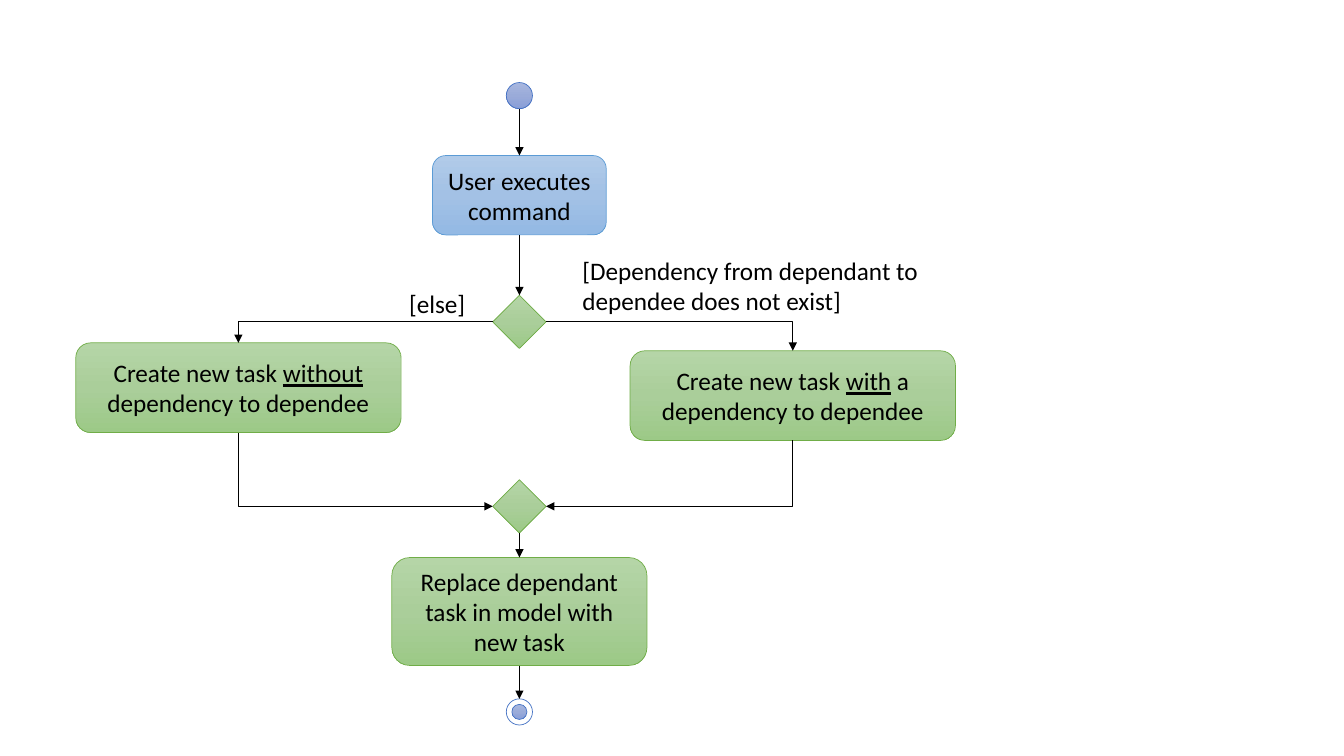
"""Build an activity diagram for creating a task with or without a dependency."""
from copy import deepcopy
from dataclasses import dataclass

from lxml import etree
from pptx import Presentation
from pptx.dml.color import RGBColor
from pptx.enum.shapes import MSO_CONNECTOR, MSO_SHAPE
from pptx.enum.text import MSO_ANCHOR, PP_ALIGN
from pptx.oxml.ns import qn
from pptx.util import Cm, Pt

ELLIPSE, DIAMOND, ROUNDED = MSO_SHAPE.OVAL, MSO_SHAPE.DIAMOND, MSO_SHAPE.ROUNDED_RECTANGLE
STRAIGHT, ELBOW = MSO_CONNECTOR.STRAIGHT, MSO_CONNECTOR.ELBOW
MIDDLE, CENTER, LEFT_ALIGN = MSO_ANCHOR.MIDDLE, PP_ALIGN.CENTER, PP_ALIGN.LEFT
TOP, LEFT, BOTTOM, RIGHT = range(4)


@dataclass(frozen=True)
class Paint:
    """Fill stops and outline colour of a shape."""
    fill: tuple[str, ...]
    line: str


@dataclass(frozen=True)
class Theme:
    """Colours and type sizes of the diagram."""
    marker: Paint = Paint(("A8B7DF", "9AABD9", "889ED7"), "4472C4")
    ring: Paint = Paint(("FFFFFF",), "4472C4")
    command: Paint = Paint(("B1CBE9", "A3C1E5", "93B9E4"), "5B9BD5")
    action: Paint = Paint(("B5D5A7", "AACE9A", "9CC987"), "70AD47")
    ink: RGBColor = RGBColor(0, 0, 0)
    font: str = "Calibri"
    size: Pt = Pt(18)
    stroke: Pt = Pt(0.5)


THEME = Theme()


@dataclass(frozen=True)
class Node:
    """A diagram node, placed by its centre line and top in centimetres."""
    name: str
    kind: int
    paint: Paint
    centre: float
    top: float
    width: float
    height: float
    text: tuple[str, ...] = ()
    underlined: str = ""


@dataclass(frozen=True)
class Label:
    """A guard condition beside a branch, in centimetres."""
    text: str
    left: float
    top: float
    width: float
    height: float


@dataclass(frozen=True)
class Flow:
    """An arrow between the sides of two nodes."""
    start: str
    start_side: int
    end: str
    end_side: int


AXIS, WITHOUT_AXIS, WITH_AXIS = 13.09, 6.01, 19.98
NODES = (
    Node("start", ELLIPSE, THEME.marker, AXIS, 2.08, 0.66, 0.66),
    Node("command", ROUNDED, THEME.command, AXIS, 3.92, 4.38, 2,
         ("User executes command",)),
    Node("decision", DIAMOND, THEME.action, AXIS, 7.44, 1.34, 1.34),
    Node("without", ROUNDED, THEME.action, WITHOUT_AXIS, 8.64, 8.2, 2.26,
         ("Create new task ", "without", " dependency to dependee"), "without"),
    Node("with", ROUNDED, THEME.action, WITH_AXIS, 8.84, 8.2, 2.26,
         ("Create new task ", "with", " a dependency to dependee"), "with"),
    Node("merge", DIAMOND, THEME.action, AXIS, 12.09, 1.34, 1.34),
    Node("replace", ROUNDED, THEME.action, AXIS, 14.05, 6.43, 2.72,
         ("Replace dependant task in model with new task",)),
)
END_NODES = (
    Node("end", ELLIPSE, THEME.ring, AXIS, 17.61, 0.66, 0.66),
    Node("end core", ELLIPSE, THEME.marker, AXIS, 17.75, 0.38, 0.38),
)
LABELS = (
    Label("[Dependency from dependant to dependee does not exist]", 14.43, 6.3, 9.07, 1.8),
    Label("[else]", 10.06, 7.14, 9.07, 1.02),
)
FLOWS = (
    Flow("start", BOTTOM, "command", TOP),
    Flow("command", BOTTOM, "decision", TOP),
    Flow("decision", LEFT, "without", TOP),
    Flow("decision", RIGHT, "with", TOP),
    Flow("without", BOTTOM, "merge", LEFT),
    Flow("with", BOTTOM, "merge", RIGHT),
    Flow("merge", BOTTOM, "replace", TOP),
    Flow("replace", BOTTOM, "end", TOP),
)


def paint_shape(sp, paint: Paint) -> None:
    """Apply a solid or vertical gradient fill and a thin outline."""
    sp.shadow.inherit = False
    if len(paint.fill) == 1:
        sp.fill.solid()
        sp.fill.fore_color.rgb = RGBColor.from_string(paint.fill[0])
    else:
        sp.fill.gradient()
        sp.fill.gradient_angle = 270
        stops = sp._element.find(".//" + qn("a:gsLst"))
        stops.insert(1, deepcopy(stops[0]))
        for i, (stop, colour) in enumerate(zip(sp.fill.gradient_stops, paint.fill)):
            stop.position = i / 2
            stop.color.rgb = RGBColor.from_string(colour)
    sp.line.color.rgb = RGBColor.from_string(paint.line)
    sp.line.width = THEME.stroke


def format_runs(p, align: int, underlined: str = "") -> None:
    """Style the runs of a paragraph, underlining one word."""
    p.alignment = align
    for r in p.runs:
        r.font.name, r.font.size = THEME.font, THEME.size
        r.font.color.rgb = THEME.ink
        if r.text == underlined:
            r.font.underline = True


def draw_node(shapes, node: Node):
    """Draw a node with its text and return the shape."""
    sp = shapes.add_shape(node.kind, Cm(node.centre - node.width / 2), Cm(node.top),
                          Cm(node.width), Cm(node.height))
    paint_shape(sp, node.paint)
    if node.text:
        tf = sp.text_frame
        tf.word_wrap, tf.vertical_anchor = True, MIDDLE
        p = tf.paragraphs[0]
        for part in node.text:
            p.add_run().text = part
        format_runs(p, CENTER, node.underlined)
    return sp


def draw_label(shapes, label: Label) -> None:
    """Draw a guard condition as wrapped text."""
    tf = shapes.add_textbox(Cm(label.left), Cm(label.top),
                            Cm(label.width), Cm(label.height)).text_frame
    tf.word_wrap = True
    tf.text = label.text
    format_runs(tf.paragraphs[0], LEFT_ALIGN)


def side_point(sp, side: int) -> tuple[int, int]:
    """Return the middle of one side of a shape."""
    x = sp.left + {LEFT: 0, RIGHT: sp.width}.get(side, sp.width // 2)
    y = sp.top + {TOP: 0, BOTTOM: sp.height}.get(side, sp.height // 2)
    return x, y


def draw_flow(shapes, flow: Flow, drawn: dict) -> None:
    """Draw a glued arrow, bent once when its ends are not in line."""
    start, end = drawn[flow.start], drawn[flow.end]
    (x1, y1), (x2, y2) = side_point(start, flow.start_side), side_point(end, flow.end_side)
    bent = flow.end_side != TOP or flow.start_side != BOTTOM
    turned = bent and flow.start_side == BOTTOM
    if turned:
        cx, cy, dx, dy = (x1 + x2) // 2, (y1 + y2) // 2, x2 - x1, y2 - y1
        x1, y1, x2, y2 = cx - dy // 2, cy + dx // 2, cx + dy // 2, cy - dx // 2
    elif not bent:
        x2 = x1
    cxn = shapes.add_connector(ELBOW if bent else STRAIGHT, x1, y1, x2, y2)
    cxn.line.color.rgb = THEME.ink
    cxn.line.width = THEME.stroke
    el = cxn._element
    if bent:
        el.find(".//" + qn("a:prstGeom")).set("prst", "bentConnector2")
    if turned:
        el.find(".//" + qn("a:xfrm")).set("rot", "5400000")
    etree.SubElement(el.find(".//" + qn("a:ln")), qn("a:tailEnd"), type="triangle")
    etree.SubElement(el.spPr, qn("a:effectLst"))
    glue = el.find(".//" + qn("p:cNvCxnSpPr"))
    for tag, sp, side in (("a:stCxn", start, flow.start_side), ("a:endCxn", end, flow.end_side)):
        site = side * 2 if sp.auto_shape_type == ELLIPSE else side
        etree.SubElement(glue, qn(tag), id=str(sp.shape_id), idx=str(site))


def main() -> None:
    """Create the slide and save it."""
    prs = Presentation()
    prs.slide_width, prs.slide_height = Cm(33.87), Cm(19.05)
    s = prs.slides.add_slide(prs.slide_layouts[6])
    drawn = {node.name: draw_node(s.shapes, node) for node in NODES}
    end_group = s.shapes.add_group_shape()
    drawn.update({node.name: draw_node(end_group.shapes, node) for node in END_NODES})
    for label in LABELS:
        draw_label(s.shapes, label)
    for flow in FLOWS:
        draw_flow(s.shapes, flow, drawn)
    prs.save("out.pptx")


if __name__ == "__main__":
    main()
